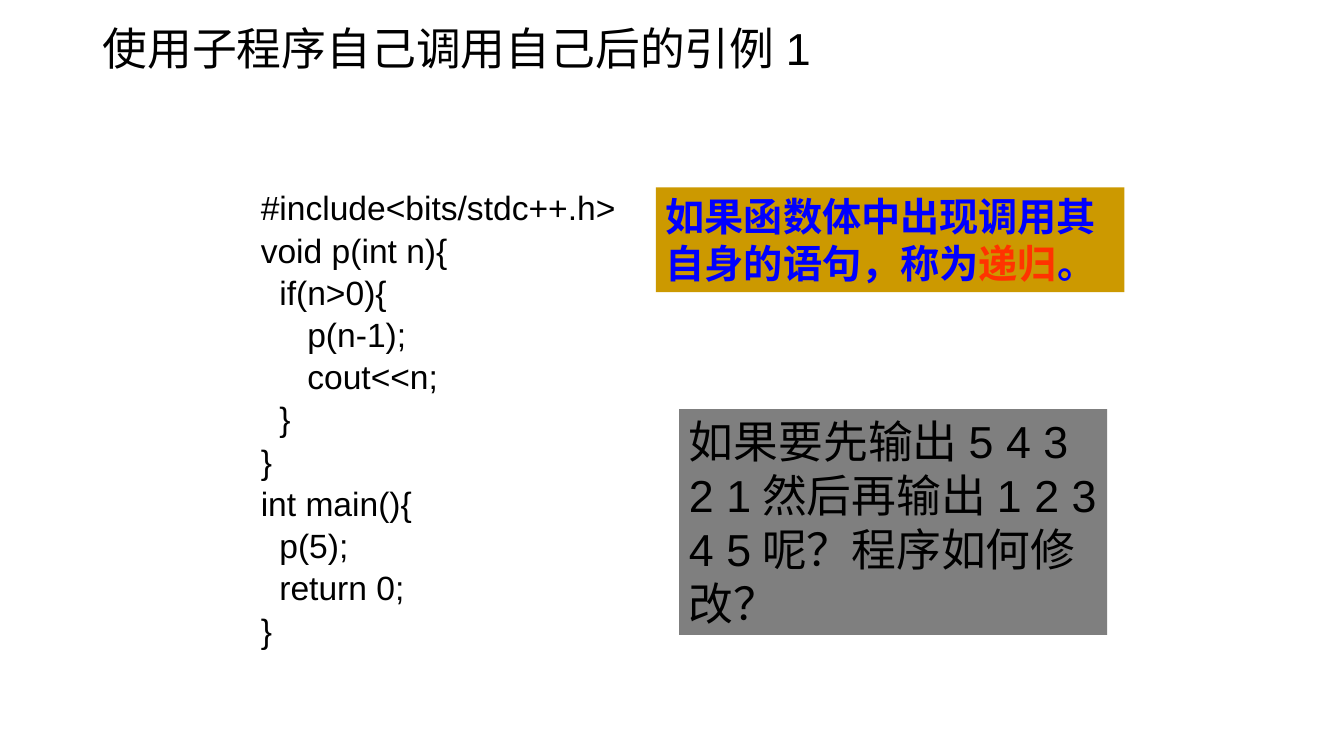
import pptx
import pptx.dml.color
import pptx.enum.shapes
import pptx.enum.text
import pptx.util

Inches, Pt = pptx.util.Inches, pptx.util.Pt
RGBColor = pptx.dml.color.RGBColor
PP_ALIGN = pptx.enum.text.PP_ALIGN
ANCHOR = pptx.enum.text.MSO_ANCHOR

BLACK = RGBColor(0x00, 0x00, 0x00)
BLUE = RGBColor(0x00, 0x00, 0xFF)
RED = RGBColor(0xFF, 0x33, 0x00)
GRAY = RGBColor(0x7F, 0x7F, 0x7F)
GOLD = RGBColor(0xCC, 0x99, 0x00)

# Content: each paragraph is a list of (text, colour) runs
TITLE = [[("使用子程序自己调用自己后的引例1", BLACK)]]
CODE = """#include<bits/stdc++.h>
void p(int n){
  if(n>0){
     p(n-1);
     cout<<n;
  }
}
int main(){
  p(5);
  return 0;
}"""
QUESTION = [[("如果要先输出5 4 3 2 1然后再输出1 2 3 4 5呢？程序如何修改？", BLACK)]]
DEFINITION = [[("如果函数体中出现调用其自身的语句，称为", BLUE),
               ("递归", RED), ("。", BLUE)]]

prs = pptx.Presentation()
prs.slide_width, prs.slide_height = Inches(13.34), Inches(7.5)
s = prs.slides.add_slide(prs.slide_layouts[6])


def add_text(paragraphs, box, size, fill=None, bold=False, anchor=ANCHOR.TOP,
             align=PP_ALIGN.LEFT, line=1.0, gap=0, hanging=0):
    """Add a text box, or a filled rectangle when a fill is given."""
    at = [Inches(v) for v in box]
    if fill is None:
        sp = s.shapes.add_textbox(*at)
    else:
        sp = s.shapes.add_shape(pptx.enum.shapes.MSO_SHAPE.RECTANGLE, *at)
        sp.shadow.inherit = False
        sp.fill.solid()
        sp.fill.fore_color.rgb = fill
        sp.line.fill.background()
    tf = sp.text_frame
    tf.word_wrap = True
    tf.vertical_anchor = anchor
    for i, runs in enumerate(paragraphs):
        p = tf.add_paragraph() if i else tf.paragraphs[0]
        p.alignment = align
        p.line_spacing = line
        p.space_before = Pt(gap if i else 0)
        p.space_after = Pt(gap)
        if hanging:
            pPr = p._p.get_or_add_pPr()
            pPr.set("marL", str(Inches(hanging)))
            pPr.set("indent", str(-Inches(hanging)))
        for text, color in runs:
            r = p.add_run()
            r.text = text
            r.font.name = "Arial"
            r.font.size = Pt(size)
            r.font.bold = bold
            r.font.color.rgb = color


# Title
add_text(TITLE, (0.92, 0, 11.5, 1.02), 32, anchor=ANCHOR.MIDDLE, line=0.9)

# Program listing
add_text([[(row, BLACK)] for row in CODE.splitlines()], (2.49, 1.94, 4.8, 4.65),
         24, align=PP_ALIGN.JUSTIFY, line=0.63, gap=6, hanging=0.25)

# Question and definition boxes
add_text(QUESTION, (6.74, 4.06, 4.25, 2.24), 32, fill=GRAY)
add_text(DEFINITION, (6.51, 1.86, 4.65, 1.04), 28, fill=GOLD, bold=True)

prs.save("out.pptx")
